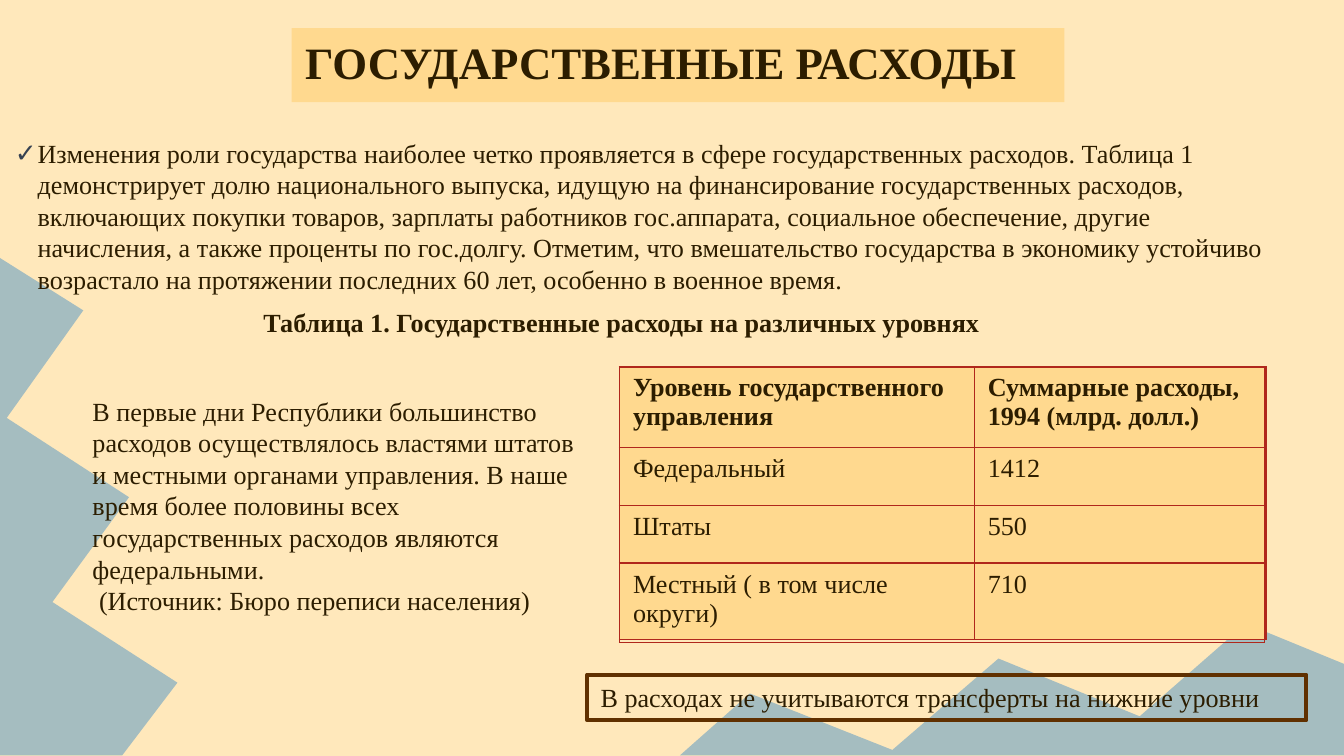
from dataclasses import dataclass

from lxml import etree
from pptx import Presentation
from pptx.dml.color import RGBColor
from pptx.enum.shapes import MSO_SHAPE
from pptx.enum.text import MSO_ANCHOR, MSO_AUTO_SIZE, PP_ALIGN
from pptx.oxml.ns import qn
from pptx.util import Pt

RECT = MSO_SHAPE.RECTANGLE
TOP, MIDDLE, BOTTOM = MSO_ANCHOR.TOP, MSO_ANCHOR.MIDDLE, MSO_ANCHOR.BOTTOM
NO_FIT = MSO_AUTO_SIZE.NONE
LEFT = PP_ALIGN.LEFT
EMU_PER_PX = 9144


@dataclass(frozen=True)
class Theme:
    font: str = "Times New Roman"
    text: str = "2C1D00"
    background: str = "FFE8BB"
    panel: str = "FFD98F"
    peaks: str = "A5BDC0"
    border: str = "B0271C"
    frame: str = "603000"
    bullet: str = "374252"
    title_size: int = 24
    body_size: int = 14
    body_pitch: float = 16.9
    table_pitch: float = 15.5


THEME = Theme()

LEFT_PEAKS = [(0, 192), (0, 562), (91, 562), (132, 508), (39, 448),
              (96, 370), (5, 311), (62, 231)]
BOTTOM_PEAKS = [(506, 562), (1000, 562), (1000, 494), (927, 464), (848, 533),
                (743, 490), (664, 558), (558, 516)]

INTRO = ("Изменения роли государства наиболее четко проявляется в сфере "
         "государственных расходов. Таблица 1 демонстрирует долю национального "
         "выпуска, идущую на финансирование государственных расходов, включающих "
         "покупки товаров, зарплаты работников гос.аппарата, социальное "
         "обеспечение, другие начисления, а также проценты по гос.долгу. Отметим, "
         "что вмешательство государства в экономику устойчиво возрастало на "
         "протяжении последних 60 лет, особенно в военное время.")
CAPTION = "Таблица 1. Государственные расходы на различных уровнях"
HISTORY = ("В первые дни Республики большинство расходов осуществлялось властями "
           "штатов и местными органами управления. В наше время более половины "
           "всех государственных расходов являются федеральными.")
SOURCE = " (Источник: Бюро переписи населения)"
SPENDING = [
    ("Уровень государственного управления", "Суммарные расходы, 1994 (млрд. долл.)"),
    ("Федеральный", "1412"),
    ("Штаты", "550"),
    ("Местный ( в том числе округи)", "710"),
]


def px(n):
    return round(n * EMU_PER_PX)


def rgb(value):
    return RGBColor.from_string(value)


def paint(fill, color):
    fill.solid()
    fill.fore_color.rgb = rgb(color)


def place(sp, left, top, width, height):
    sp.left, sp.top, sp.width, sp.height = map(px, (left, top, width, height))


def setup_frame(tf, anchor, inset_y):
    tf.word_wrap = True
    tf.auto_size = NO_FIT
    tf.vertical_anchor = anchor
    tf.margin_left = tf.margin_right = px(10)
    tf.margin_top = tf.margin_bottom = px(inset_y)


def write(p, text, size=THEME.body_size, bold=False, pitch=None, before=0):
    p.alignment = LEFT
    p.space_before = Pt(before)
    if pitch:
        p.line_spacing = Pt(pitch)
    r = p.add_run()
    r.text = text
    r.font.name = THEME.font
    r.font.size = Pt(size)
    r.font.bold = bold
    r.font.color.rgb = rgb(THEME.text)


def indent(p, left, first, mark=None):
    pPr = p._p.get_or_add_pPr()
    pPr.set("marL", str(px(left)))
    pPr.set("indent", str(px(first)))
    if mark:
        color = etree.SubElement(pPr, qn("a:buClr"))
        etree.SubElement(color, qn("a:srgbClr"), val=THEME.bullet)
        etree.SubElement(pPr, qn("a:buChar"), char=mark)
    else:
        etree.SubElement(pPr, qn("a:buNone"))


def add_peaks(s, points):
    pts = [(px(x), px(y)) for x, y in points]
    builder = s.shapes.build_freeform(*pts[0])
    builder.add_line_segments(pts[1:], close=True)
    sp = builder.convert_to_shape()
    sp.shadow.inherit = False
    paint(sp.fill, THEME.peaks)
    sp.line.fill.background()
    s.shapes._spTree.insert(2, sp._element)


def fill_title(s):
    sp = s.shapes.title
    place(sp, 217, 21, 575, 55)
    paint(sp.fill, THEME.panel)
    setup_frame(sp.text_frame, BOTTOM, 10)
    write(sp.text_frame.paragraphs[0], "ГОСУДАРСТВЕННЫЕ РАСХОДЫ",
          THEME.title_size, bold=True)


def fill_body(s):
    sp = s.placeholders[1]
    place(sp, -20, 92, 992, 181)
    tf = sp.text_frame
    setup_frame(tf, TOP, 10)
    p = tf.paragraphs[0]
    indent(p, 38, -17, "✓")
    write(p, INTRO, pitch=THEME.body_pitch)
    p = tf.add_paragraph()
    indent(p, 206, 0)
    write(p, CAPTION, bold=True, pitch=THEME.body_pitch, before=6)


def add_history(s):
    sp = s.shapes.add_textbox(px(59), px(289), px(386), px(175))
    tf = sp.text_frame
    setup_frame(tf, TOP, 5)
    write(tf.paragraphs[0], HISTORY, pitch=THEME.body_pitch)
    write(tf.add_paragraph(), SOURCE, pitch=THEME.body_pitch)


def add_note(s):
    sp = s.shapes.add_shape(RECT, px(437), px(502), px(535), px(34))
    sp.shadow.inherit = False
    sp.fill.background()
    sp.line.color.rgb = rgb(THEME.frame)
    sp.line.width = Pt(2.25)
    setup_frame(sp.text_frame, MIDDLE, 5)
    write(sp.text_frame.paragraphs[0],
          "В расходах не учитываются трансферты на нижние уровни")


def border_cell(cell):
    tcPr = cell._tc.get_or_add_tcPr()
    for i, side in enumerate(("a:lnL", "a:lnR", "a:lnT", "a:lnB")):
        ln = etree.Element(qn(side), w=str(Pt(1)))
        fill = etree.SubElement(ln, qn("a:solidFill"))
        etree.SubElement(fill, qn("a:srgbClr"), val=THEME.border)
        tcPr.insert(i, ln)


def add_grid(s, widths, heights, rows=None):
    frame = s.shapes.add_table(len(heights), len(widths), px(461), px(273),
                               px(sum(widths)), px(sum(heights)))
    table = frame.table
    table.first_row = table.horz_banding = False
    for column, width in zip(table.columns, widths):
        column.width = px(width)
    for i, height in enumerate(heights):
        table.rows[i].height = px(height)
        for j in range(len(widths)):
            cell = table.cell(i, j)
            if rows:
                paint(cell.fill, THEME.panel)
                write(cell.text_frame.paragraphs[0], rows[i][j],
                      bold=i == 0, pitch=THEME.table_pitch)
            else:
                cell.fill.background()
            border_cell(cell)


def main():
    prs = Presentation()
    prs.slide_width, prs.slide_height = px(1000), px(562.5)
    s = prs.slides.add_slide(prs.slide_layouts[1])
    paint(s.background.fill, THEME.background)
    for points in (BOTTOM_PEAKS, LEFT_PEAKS):
        add_peaks(s, points)
    fill_body(s)
    fill_title(s)
    add_grid(s, [264, 217], [60, 43, 43, 57], SPENDING)
    add_history(s)
    add_note(s)
    add_grid(s, [480], [205])
    prs.save("out.pptx")


if __name__ == "__main__":
    main()
